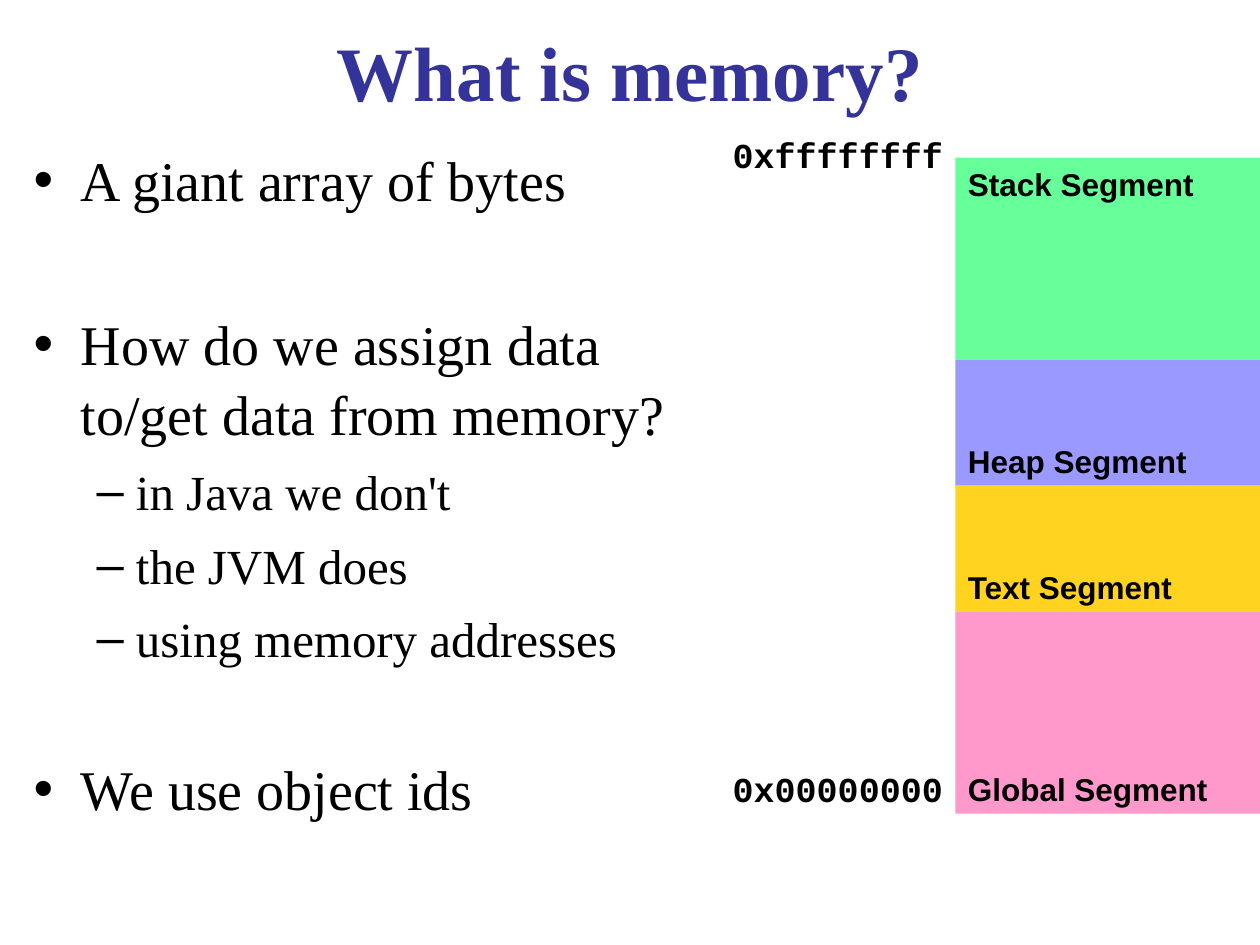
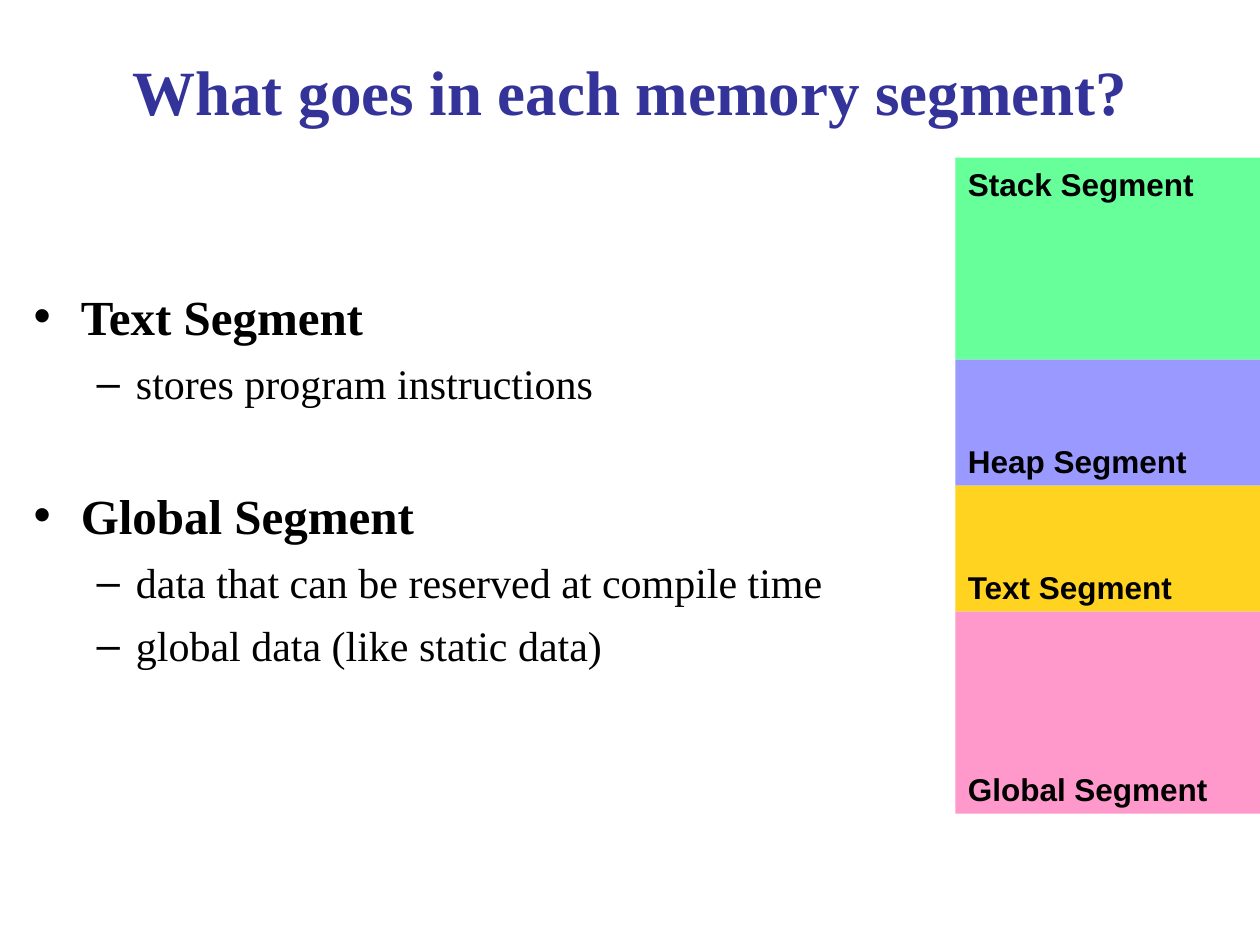
from pptx import Presentation
from pptx.dml.color import RGBColor
from pptx.enum import shapes, text
from pptx.util import Pt

INDIGO = RGBColor(0x33, 0x33, 0x99)
BLACK = RGBColor(0, 0, 0)
GREEN = RGBColor(0x66, 0xFF, 0x99)
LAVENDER = RGBColor(0x99, 0x99, 0xFF)
YELLOW = RGBColor(0xFF, 0xD3, 0x20)
PINK = RGBColor(0xFF, 0x99, 0xCC)

SERIF, SANS, MONO = "Times New Roman", "Arial", "Courier New"
LINE_SPACING = 1.04
MEMORY_LEFT, MEMORY_TOP, MEMORY_WIDTH = 546, 90, 174

SEGMENTS = [
    ("Stack Segment", 115.5, GREEN, text.MSO_ANCHOR.TOP),
    ("Heap Segment", 72, LAVENDER, text.MSO_ANCHOR.BOTTOM),
    ("Text Segment", 72, YELLOW, text.MSO_ANCHOR.BOTTOM),
    ("Global Segment", 115.5, PINK, text.MSO_ANCHOR.BOTTOM),
]

PAGES = [
    {
        "title": ("What is memory?", 44, 6.5),
        "body": (78, 384, 450),
        "items": [
            ("A giant array of bytes", 0, 32, 8, False),
            ("How do we assign data to/get data from memory?", 0, 32, 54, False),
            ("in Java we don't", 1, 28, 7, False),
            ("the JVM does", 1, 28, 7, False),
            ("using memory addresses", 1, 28, 7, False),
            ("We use object ids", 0, 32, 48.5, False),
        ],
        "addresses": [("0xffffffff", 72), ("0x00000000", 434)],
    },
    {
        "title": ("What goes in each memory segment?", 36, 18),
        "body": (158.5, 510, 369.5),
        "items": [
            ("Text Segment", 0, 28, 6, True),
            ("stores program instructions", 1, 24, 6, False),
            ("Global Segment", 0, 28, 43, True),
            ("data that can be reserved at compile time", 1, 24, 6, False),
            ("global data (like static data)", 1, 24, 6, False),
        ],
        "addresses": [],
    },
]


def place(box, left, top, width, height, anchor=text.MSO_ANCHOR.TOP):
    box.left, box.top, box.width, box.height = Pt(left), Pt(top), Pt(width), Pt(height)
    frame = box.text_frame
    frame.word_wrap = True
    frame.auto_size = text.MSO_AUTO_SIZE.NONE
    frame.vertical_anchor = anchor
    return frame


def write(para, wording, font, size, color=BLACK, bold=True, align=text.PP_ALIGN.LEFT):
    para.text = wording
    para.alignment = align
    para.line_spacing = LINE_SPACING
    para.font.name = font
    para.font.size = Pt(size)
    para.font.bold = bold
    para.font.color.rgb = color


deck = Presentation()
deck.slide_width, deck.slide_height = Pt(720), Pt(540)

for content in PAGES:
    page = deck.slides.add_slide(deck.slide_layouts[1])

    heading, size, top = content["title"]
    frame = place(page.shapes.title, 24, top, 672, 66, text.MSO_ANCHOR.MIDDLE)
    write(frame.paragraphs[0], heading, SERIF, size, INDIGO, align=text.PP_ALIGN.CENTER)

    top, width, height = content["body"]
    frame = place(page.placeholders[1], 12, top, width, height)
    for index, (wording, level, size, gap, bold) in enumerate(content["items"]):
        para = frame.add_paragraph() if index else frame.paragraphs[0]
        write(para, wording, SERIF, size, bold=bold)
        para.level = level
        para.space_before = Pt(gap)

    segment_top = MEMORY_TOP
    for label, height, color, anchor in SEGMENTS:
        segment = page.shapes.add_shape(shapes.MSO_SHAPE.RECTANGLE, 0, 0, 0, 0)
        segment.shadow.inherit = False
        segment.fill.solid()
        segment.fill.fore_color.rgb = color
        segment.line.fill.background()
        frame = place(segment, MEMORY_LEFT, segment_top, MEMORY_WIDTH, height, anchor)
        write(frame.paragraphs[0], label, SANS, 18)
        segment_top += height

    for address, top in content["addresses"]:
        frame = place(page.shapes.add_textbox(0, 0, 0, 0), 390, top, 156, 32)
        write(frame.paragraphs[0], address, MONO, 20, align=text.PP_ALIGN.RIGHT)

deck.save("out.pptx")
